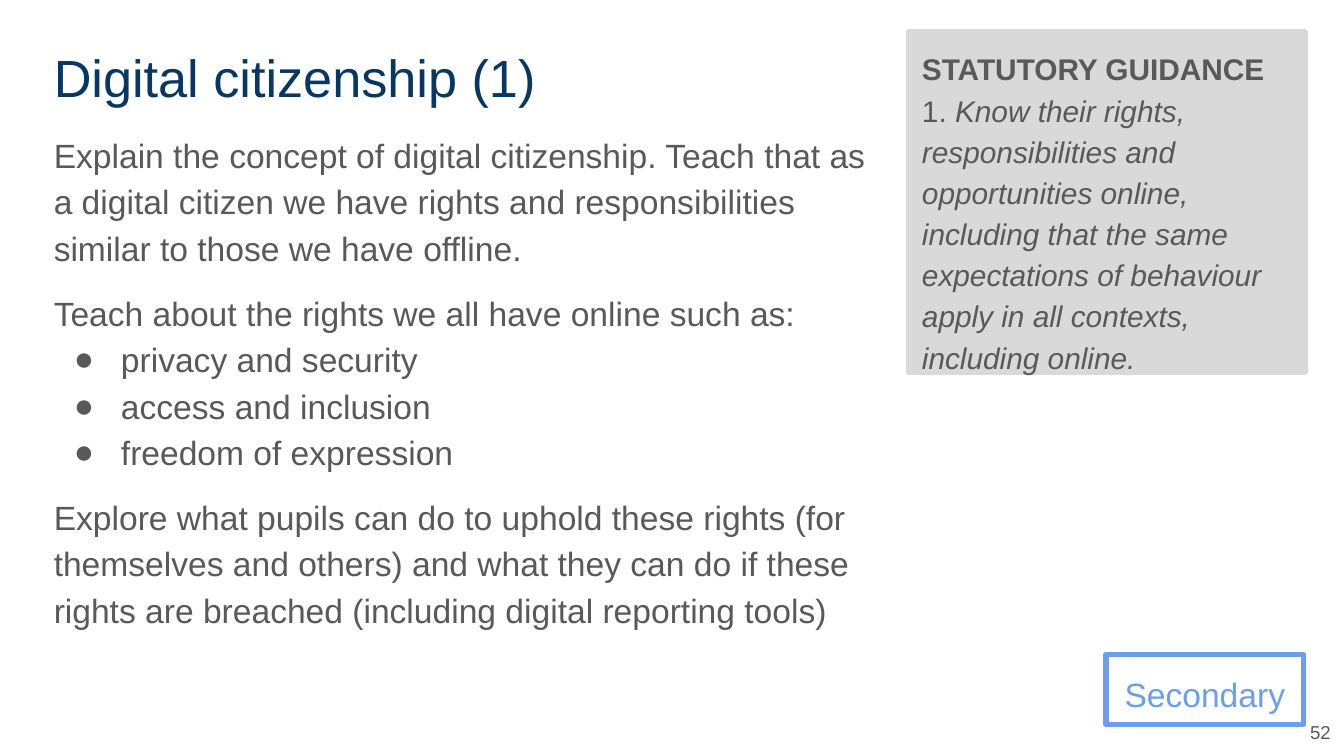
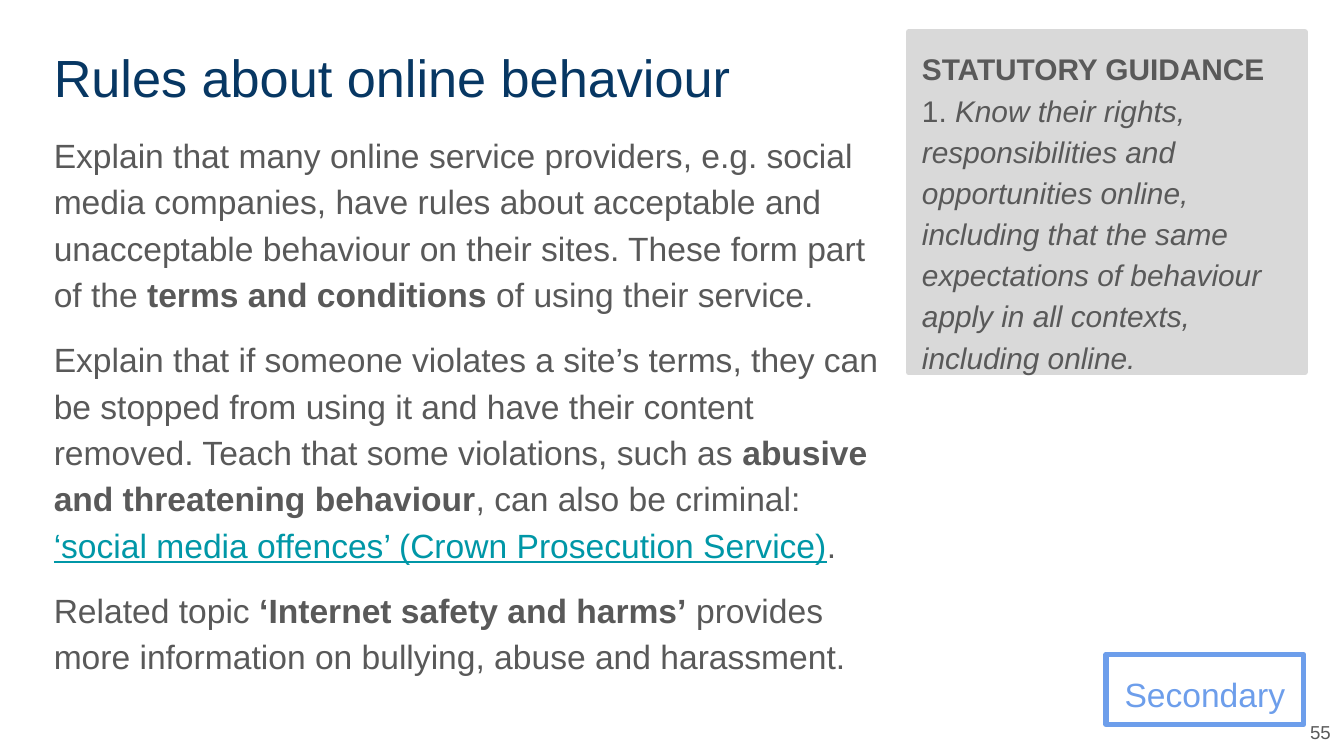
from dataclasses import dataclass

from lxml.etree import SubElement
from pptx import Presentation
from pptx.dml.color import RGBColor
from pptx.enum.shapes import MSO_SHAPE
from pptx.enum.text import MSO_ANCHOR as Anchor, MSO_AUTO_SIZE as AutoSize, PP_ALIGN as Align
from pptx.oxml.ns import qn
from pptx.util import Inches, Pt


@dataclass(frozen=True)
class Theme:
    font: str = "Arial"
    navy: str = "073763"
    grey: str = "595959"
    panel: str = "D9D9D9"
    blue: str = "6D9EEB"
    link: str = "0097A7"
    title_size: int = 28
    body_size: int = 18
    guidance_size: int = 16
    number_size: int = 10
    line_spacing: float = 1.15
    paragraph_gap: int = 10
    border: int = 3


THEME = Theme()
SLIDE_WIDTH = Inches(10)
SLIDE_HEIGHT = SLIDE_WIDTH * 9 // 16


@dataclass(frozen=True)
class Box:
    left: float
    top: float
    width: float
    height: float

    def lengths(self) -> tuple:
        return tuple(Inches(side) for side in (self.left, self.top, self.width, self.height))


TITLE_BOX = Box(0.3, 0.24, 6.41, 0.63)
BODY_BOX = Box(0.3, 0.86, 6.41, 4.01)
GUIDANCE_BOX = Box(6.76, 0.24, 2.95, 2.53)
STAGE_BOX = Box(8.23, 4.87, 1.47, 0.52)
NUMBER_BOX = Box(9.61, 5.26, 0.39, 0.37)


@dataclass(frozen=True)
class Span:
    text: str
    bold: bool = False
    italic: bool = False
    underline: bool = False
    color: str = ""


@dataclass(frozen=True)
class Block:
    spans: tuple[Span, ...]
    bullet: bool = False
    gap: int = 0
    align: Align = Align.LEFT
    spacing: float = THEME.line_spacing


@dataclass(frozen=True)
class Lesson:
    title: str
    body: tuple[Block, ...]
    number: int


def prose(*spans: Span, gap: int = THEME.paragraph_gap) -> Block:
    return Block(spans, gap=gap)


def bullet(text: str) -> Block:
    return Block((Span(text),), bullet=True)


GUIDANCE = Block((
    Span("STATUTORY GUIDANCE\v", bold=True),
    Span("1. "),
    Span("Know their rights, responsibilities and opportunities online, including that "
         "the same expectations of behaviour apply in all contexts, including online.",
         italic=True),
))

LESSONS = (
    Lesson("Digital citizenship (1)", (
        prose(Span("Explain the concept of digital citizenship. Teach that as a digital citizen "
                   "we have rights and responsibilities similar to those we have offline."), gap=0),
        prose(Span("Teach about the rights we all have online such as:")),
        bullet("privacy and security"),
        bullet("access and inclusion"),
        bullet("freedom of expression"),
        prose(Span("Explore what pupils can do to uphold these rights (for themselves and others) "
                   "and what they can do if these rights are breached "
                   "(including digital reporting tools)")),
    ), 52),
    Lesson("Rules about online behaviour", (
        prose(Span("Explain that many online service providers, e.g. social media companies, have "
                   "rules about acceptable and unacceptable behaviour on their sites. "
                   "These form part of the "),
              Span("terms and conditions", bold=True),
              Span(" of using their service."), gap=0),
        prose(Span("Explain that if someone violates a site’s terms, they can be stopped from "
                   "using it and have their content removed. "
                   "Teach that some violations, such as "),
              Span("abusive and threatening behaviour", bold=True),
              Span(", can also be criminal: "),
              Span("‘social media offences’ (Crown Prosecution Service)",
                   underline=True, color=THEME.link),
              Span(".")),
        prose(Span("Related topic "),
              Span("‘Internet safety and harms’", bold=True),
              Span(" provides more information on bullying, abuse and harassment.")),
    ), 55),
)


def set_list_style(paragraph, is_bullet: bool) -> None:
    properties = paragraph._p.get_or_add_pPr()
    properties.set("marL", str(Inches(0.5 if is_bullet else 0)))
    properties.set("indent", str(Inches(-0.35 if is_bullet else 0)))
    if is_bullet:
        color = SubElement(properties, qn("a:buClr"))
        SubElement(color, qn("a:srgbClr"), val=THEME.grey)
        SubElement(properties, qn("a:buFont"), typeface=THEME.font)
        SubElement(properties, qn("a:buChar"), char="●")
    else:
        SubElement(properties, qn("a:buNone"))


def add_span(paragraph, span: Span, size: int, color: str) -> None:
    """Add a run; a closing vertical tab becomes a line break."""
    run = paragraph.add_run()
    run.text = span.text.rstrip("\v")
    font = run.font
    font.name, font.size = THEME.font, Pt(size)
    font.bold, font.italic, font.underline = span.bold, span.italic, span.underline
    font.color.rgb = RGBColor.from_string(span.color or color)
    if span.text.endswith("\v"):
        paragraph.add_line_break()


def write(shape, blocks: tuple[Block, ...], size: int, color: str = THEME.grey,
          anchor: Anchor = Anchor.TOP) -> None:
    frame = shape.text_frame
    frame.word_wrap = True
    frame.auto_size = AutoSize.NONE
    frame.vertical_anchor = anchor
    frame.margin_left = frame.margin_right = Inches(0.1)
    frame.margin_top = frame.margin_bottom = Inches(0.1)
    for index, block in enumerate(blocks):
        paragraph = frame.add_paragraph() if index else frame.paragraphs[0]
        paragraph.alignment = block.align
        paragraph.line_spacing = block.spacing
        paragraph.space_before = Pt(block.gap)
        paragraph.space_after = Pt(0)
        set_list_style(paragraph, block.bullet)
        for span in block.spans:
            add_span(paragraph, span, size, color)


def place(shape, box: Box) -> None:
    shape.left, shape.top, shape.width, shape.height = box.lengths()


def outline(shape, color: str) -> None:
    """Give the shape a border with rounded joins."""
    shape.line.color.rgb = RGBColor.from_string(color)
    shape.line.width = Pt(THEME.border)
    SubElement(shape._element.spPr.find(qn("a:ln")), qn("a:round"))


def add_page_number(slide, number: int) -> None:
    shape = slide.shapes.add_textbox(*NUMBER_BOX.lengths())
    block = Block((Span(str(number)),), align=Align.RIGHT, spacing=1.0)
    write(shape, (block,), THEME.number_size, anchor=Anchor.MIDDLE)


def add_stage_tag(slide) -> None:
    shape = slide.shapes.add_shape(MSO_SHAPE.RECTANGLE, *STAGE_BOX.lengths())
    shape.shadow.inherit = False
    shape.fill.background()
    outline(shape, THEME.blue)
    block = Block((Span("Secondary"),), align=Align.CENTER)
    write(shape, (block,), THEME.body_size, THEME.blue)


def fill_guidance(shape) -> None:
    place(shape, GUIDANCE_BOX)
    shape.fill.solid()
    shape.fill.fore_color.rgb = RGBColor.from_string(THEME.panel)
    outline(shape, THEME.panel)
    write(shape, (GUIDANCE,), THEME.guidance_size)


def add_lesson(presentation, lesson: Lesson) -> None:
    two_content = presentation.slide_layouts.get_by_name("Two Content")
    slide = presentation.slides.add_slide(two_content)
    title, body, guidance = slide.placeholders
    place(title, TITLE_BOX)
    write(title, (Block((Span(lesson.title),), spacing=1.0),), THEME.title_size, THEME.navy)
    place(body, BODY_BOX)
    write(body, lesson.body, THEME.body_size)
    add_page_number(slide, lesson.number)
    add_stage_tag(slide)
    fill_guidance(guidance)


def main() -> None:
    presentation = Presentation()
    presentation.slide_width, presentation.slide_height = SLIDE_WIDTH, SLIDE_HEIGHT
    for lesson in LESSONS:
        add_lesson(presentation, lesson)
    presentation.save("out.pptx")


if __name__ == "__main__":
    main()
